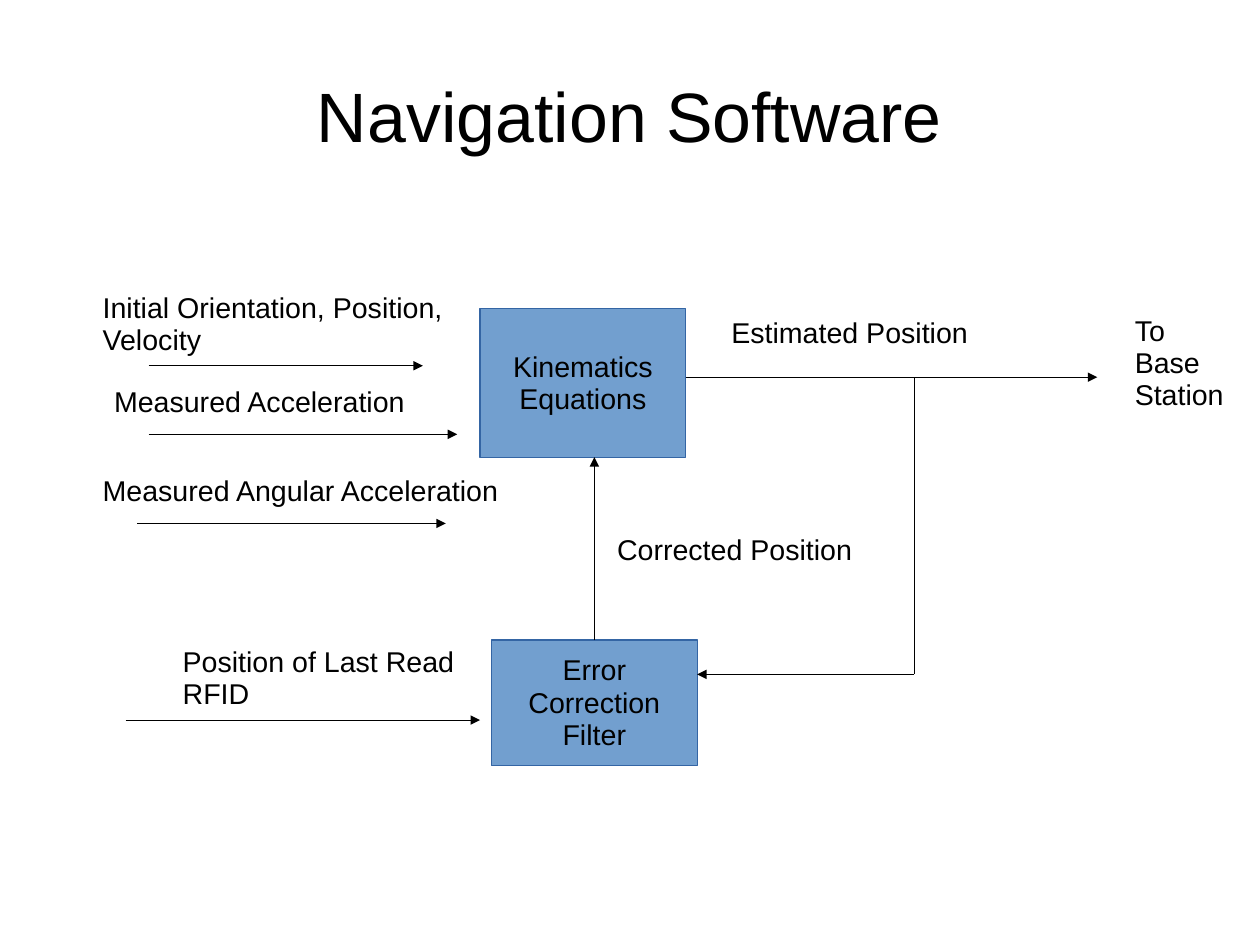
from lxml import etree
from pptx import Presentation
from pptx import util as u
from pptx.dml.color import RGBColor
from pptx.enum import shapes, text
from pptx.oxml import ns

PX = 9144
BLACK = RGBColor(0x00, 0x00, 0x00)
BLUE = RGBColor(0x72, 0x9F, 0xCF)
EDGE = RGBColor(0x34, 0x65, 0xA4)
LEFT, CENTER = text.PP_ALIGN.LEFT, text.PP_ALIGN.CENTER
TOP, MIDDLE = text.MSO_ANCHOR.TOP, text.MSO_ANCHOR.MIDDLE


def px(*lengths):
    """Turn px lengths into EMU."""
    return [u.Emu(length * PX) for length in lengths]


def write(shape, words, size=18, align=LEFT, anchor=TOP, wrap=False, insets=(10, 6, 10, 5)):
    """Fill a shape with one paragraph for each line of words."""
    frame = shape.text_frame
    frame.word_wrap = wrap
    frame.vertical_anchor = anchor
    frame.margin_left, frame.margin_top, frame.margin_right, frame.margin_bottom = px(*insets)
    for index, line in enumerate(words.split("\n")):
        para = frame.add_paragraph() if index else frame.paragraphs[0]
        para.alignment = align
        para.line_spacing = 0.94
        span = para.add_run()
        span.text = line
        span.font.name = "Arial"
        span.font.size = u.Pt(size)
        span.font.color.rgb = BLACK


def add_label(page, box, words, **style):
    """Add a text box."""
    write(page.shapes.add_textbox(*px(*box)), words, **style)


def add_block(page, box, words):
    """Add a blue process block."""
    block = page.shapes.add_shape(shapes.MSO_SHAPE.RECTANGLE, *px(*box))
    block.shadow.inherit = False
    block.fill.solid()
    block.fill.fore_color.rgb = BLUE
    block.line.color.rgb = EDGE
    block.line.width = u.Pt(0.75)
    write(block, words, align=CENTER, anchor=MIDDLE)
    return block


def add_line(page, start, end, arrow=True):
    """Add a straight black line, with an arrowhead at its end if wanted."""
    line = page.shapes.add_connector(shapes.MSO_CONNECTOR.STRAIGHT, *px(*start, *end))
    line.line.color.rgb = BLACK
    line.line.width = u.Pt(0.75)
    properties = line._element.spPr
    if arrow:
        etree.SubElement(properties.find(ns.qn("a:ln")), ns.qn("a:tailEnd"), type="triangle")
    etree.SubElement(properties, ns.qn("a:effectLst"))
    return line


def draw_title(page, box):
    """Place the centred slide title."""
    add_label(page, box, "Navigation Software", size=44, align=CENTER,
              anchor=MIDDLE, wrap=True, insets=(0, 4, 0, 0))


def draw_inputs(page, box):
    """Place each input label with the arrow below it."""
    left, top, _, _ = box
    inputs = [
        ("Initial Orientation, Position,\nVelocity", (0, 0, 320, 66), (50, 290, 70)),
        ("Measured Acceleration", (10, 82, 276, 38), (50, 320, 130)),
        ("Measured Angular Acceleration", (0, 160, 368, 38), (40, 310, 208)),
        ("Position of Last Read\nRFID", (70, 310, 260, 66), (30, 340, 380)),
    ]
    for words, (x, y, width, height), (start, end, level) in inputs:
        add_label(page, (left + x, top + y, width, height), words)
        add_line(page, (left + start, top + level), (left + end, top + level))


def draw_loop(page, box):
    """Place the two blocks, the feedback loop and the output."""
    left, top, width, height = box
    add_block(page, (left, top, 180, 130), "Kinematics\nEquations")
    error_filter = add_block(page, (left + 10, top + height - 110, 180, 110),
                             "Error\nCorrection\nFilter")
    branch, level, back = left + 380, top + 60, top + 320
    add_line(page, (left + 180, level), (branch, level), arrow=False)
    add_line(page, (branch, level), (branch, back), arrow=False)
    add_line(page, (branch, back), (left + 190, back))
    add_line(page, (branch, level), (left + 540, level))
    correction = add_line(page, (left + 100, top + height - 110), (left + 100, top + 130))
    correction.begin_connect(error_filter, 0)
    add_label(page, (left + 210, top + 2, 229, 38), "Estimated Position")
    add_label(page, (left + 110, top + 192, 228, 38), "Corrected Position")
    add_label(page, (left + width - 100, top, 100, 114), "To\nBase\nStation")


def main():
    """Build and save the deck."""
    deck = Presentation()
    deck.slide_width, deck.slide_height = u.Cm(28), u.Cm(21)
    page = deck.slides.add_slide(deck.slide_layouts[6])
    draw_title(page, (55, 33, 992, 138))
    draw_inputs(page, (80, 250, 368, 380))
    draw_loop(page, (420, 270, 663, 400))
    deck.save("out.pptx")


if __name__ == "__main__":
    main()
